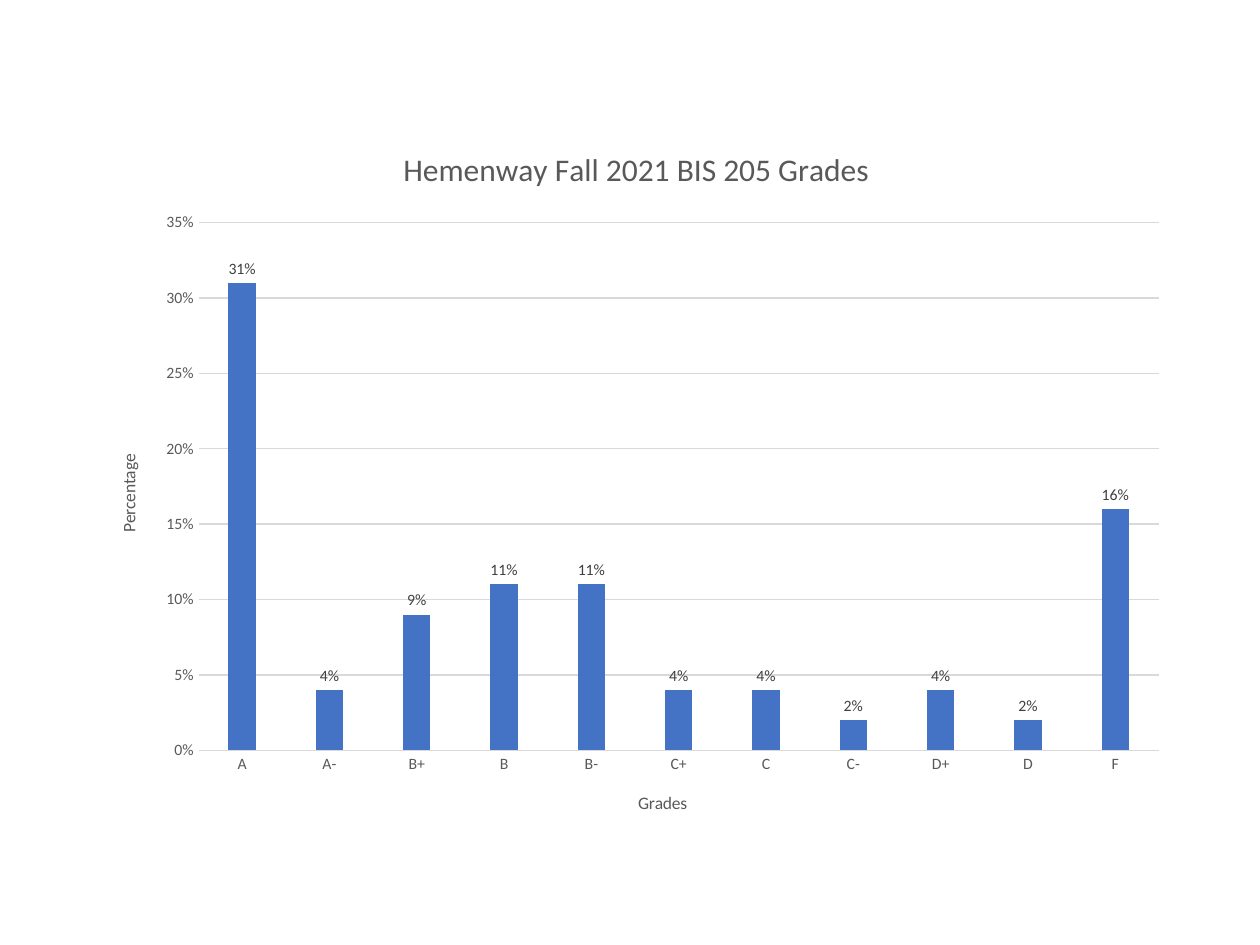
from pptx import Presentation
from pptx.chart.data import CategoryChartData
from pptx.dml.color import RGBColor
from pptx.enum.chart import XL_CHART_TYPE, XL_LABEL_POSITION, XL_TICK_MARK
from pptx.util import Inches, Pt

COLUMNS = XL_CHART_TYPE.COLUMN_CLUSTERED
OUTSIDE_END = XL_LABEL_POSITION.OUTSIDE_END
NO_TICKS = XL_TICK_MARK.NONE

COLORS = {"bar": "4472C4", "text": "595959", "label": "404040", "grid": "D9D9D9"}
FONT = "Calibri"
PERCENT = "0%"

GRADES = {
    "A": 0.31, "A-": 0.04, "B+": 0.09, "B": 0.11, "B-": 0.11, "C+": 0.04,
    "C": 0.04, "C-": 0.02, "D+": 0.04, "D": 0.02, "F": 0.16,
}


def format_font(font, size=9, color="text"):
    font.name = FONT
    font.size = Pt(size)
    font.bold = False
    font.color.rgb = RGBColor.from_string(COLORS[color])


def write_text(text_frame, text, **text_format):
    text_frame.text = text
    format_font(text_frame.paragraphs[0].runs[0].font, **text_format)


class GradeSlide:
    def __init__(self, presentation):
        self.slide = presentation.slides.add_slide(presentation.slide_layouts[6])

    def add_column_chart(self, title, values, left, top, width, height):
        data = CategoryChartData(number_format=PERCENT)
        data.categories = list(values)
        data.add_series("Share of grades", list(values.values()))
        chart = self.slide.shapes.add_chart(
            COLUMNS, Inches(left), Inches(top), Inches(width), Inches(height), data
        ).chart
        format_font(chart.font, size=10)
        chart.has_legend = False
        chart.has_title = True
        write_text(chart.chart_title.text_frame, title, size=18)
        chart.chart_title.include_in_layout = False
        self.style_columns(chart.plots[0])
        return chart

    def style_columns(self, plot):
        plot.vary_by_categories = False
        plot.gap_width = 219
        plot.overlap = -27
        fill = plot.series[0].format.fill
        fill.solid()
        fill.fore_color.rgb = RGBColor.from_string(COLORS["bar"])

        # Value labels above the columns
        plot.has_data_labels = True
        labels = plot.data_labels
        labels.show_value = True
        labels.position = OUTSIDE_END
        labels.number_format = PERCENT
        labels.number_format_is_linked = False
        format_font(labels.font, color="label")

    def style_axis(self, axis, title):
        axis.major_tick_mark = axis.minor_tick_mark = NO_TICKS
        format_font(axis.tick_labels.font)
        axis.has_title = True
        write_text(axis.axis_title.text_frame, title, size=10)

    def style_line(self, line):
        line.color.rgb = RGBColor.from_string(COLORS["grid"])
        line.width = Pt(0.75)


def main():
    presentation = Presentation()
    presentation.slide_width = Inches(10)
    presentation.slide_height = Inches(7.5)
    page = GradeSlide(presentation)

    chart = page.add_column_chart(
        "Hemenway Fall 2021 BIS 205 Grades", GRADES, 0.73, 0.96, 8.64, 5.7
    )

    # Grade axis
    page.style_axis(chart.category_axis, "Grades")
    page.style_line(chart.category_axis.format.line)

    # Percentage axis with gridlines
    value_axis = chart.value_axis
    page.style_axis(value_axis, "Percentage")
    value_axis.minimum_scale, value_axis.maximum_scale = 0, 0.35
    value_axis.major_unit = 0.05
    value_axis.tick_labels.number_format = PERCENT
    value_axis.tick_labels.number_format_is_linked = False
    value_axis.format.line.fill.background()
    value_axis.has_major_gridlines = True
    page.style_line(value_axis.major_gridlines.format.line)

    presentation.save("out.pptx")


if __name__ == "__main__":
    main()
